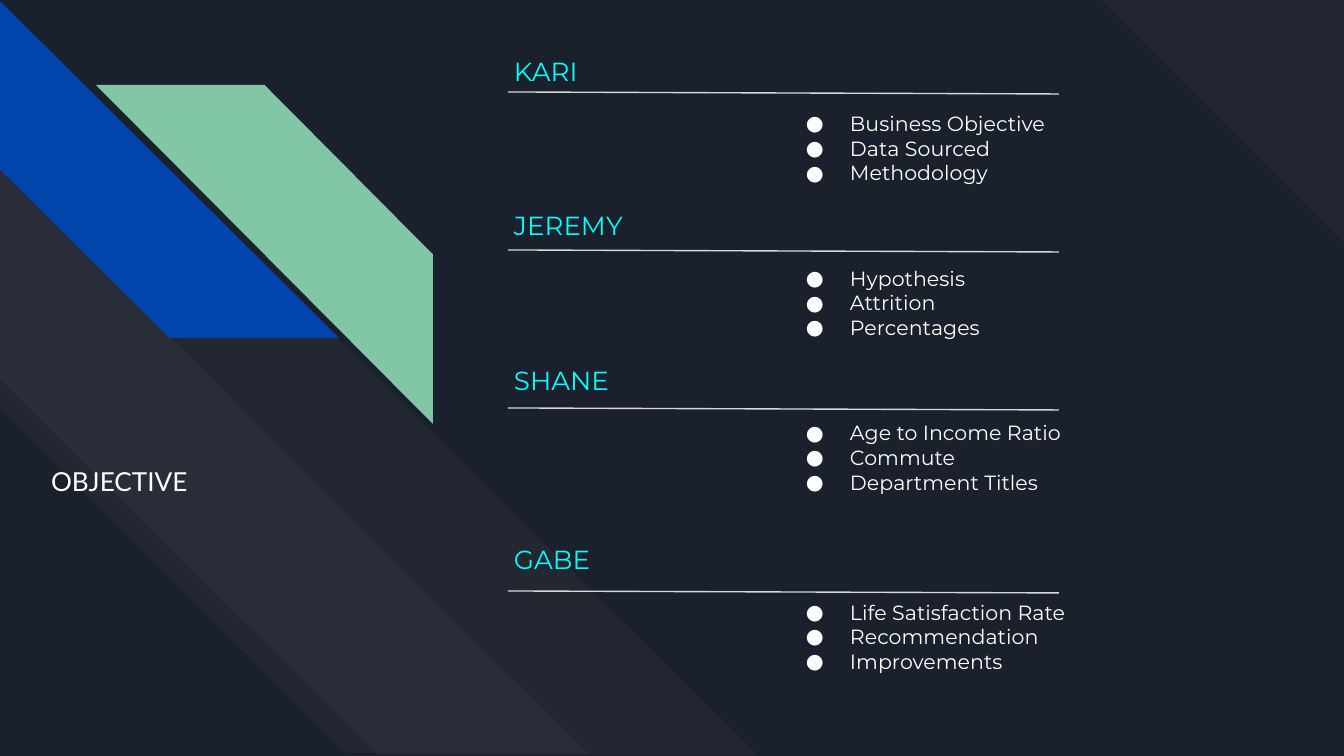
from lxml import etree
from pptx import Presentation
from pptx.dml.color import RGBColor
from pptx.enum.shapes import MSO_CONNECTOR, MSO_SHAPE
from pptx.enum.text import MSO_ANCHOR, MSO_AUTO_SIZE, PP_ALIGN
from pptx.oxml.ns import qn
from pptx.util import Pt

STRAIGHT = MSO_CONNECTOR.STRAIGHT
STRIPE = MSO_SHAPE.DIAGONAL_STRIPE
TOP = MSO_ANCHOR.TOP
NO_FIT = MSO_AUTO_SIZE.NONE
LEFT = PP_ALIGN.LEFT

NAVY = RGBColor(0x1B, 0x21, 0x2C)
WHITE = RGBColor(0xFF, 0xFF, 0xFF)
BLUE = RGBColor(0x01, 0x45, 0xAC)
GREEN = RGBColor(0x82, 0xC7, 0xA5)
CYAN = RGBColor(0x00, 0xFF, 0xFF)
GRAY = RGBColor(0xD9, 0xD9, 0xD9)

WIDTH, HEIGHT = 1344, 756
SCALE = 9144000 / WIDTH
INSET = 13
BLANK_LINE = 13.2

STRIPES = [
    ((1102, 0, 242, 242), 90, 0, WHITE, 3),
    ((1, -1, 754, 758), 270, 0.5, WHITE, 3),
    ((1, 167, 585, 587), 270, 0.588, WHITE, 3),
    ((1, 0, 337, 339), 270, 0.5, BLUE, 100),
    ((95, 86, 339, 337), 90, 0.5, GREEN, 100),
]
SPEAKERS = [
    ("KARI", 0, 92, ["Business Objective", "Data Sourced", "Methodology"]),
    ("JEREMY", 1, 250, ["Hypothesis", "Attrition", "Percentages"]),
    ("SHANE", 1, 408, ["Age to Income Ratio", "Commute", "Department Titles"]),
    ("GABE", 2, 591, ["Life Satisfaction Rate", "Recommendation", "Improvements"]),
]


def px(length):
    """Turn px into EMU."""
    return round(length * SCALE)


class Deck:
    """Holds the style and the current slide."""

    def __init__(self):
        self.presentation = Presentation()
        self.presentation.slide_width = px(WIDTH)
        self.presentation.slide_height = px(HEIGHT)
        self.slide = self.presentation.slides.add_slide(self.presentation.slide_layouts[1])
        fill = self.slide.background.fill
        fill.solid()
        fill.fore_color.rgb = NAVY

    def stripe(self, depth, box, rotation, inner, color, opacity):
        """Draw a diagonal stripe behind the text."""
        shape = self.slide.shapes.add_shape(STRIPE, *map(px, box))
        shape.shadow.inherit = False
        shape.rotation = rotation
        shape.adjustments[0] = inner
        shape.fill.solid()
        shape.fill.fore_color.rgb = color
        shape.line.fill.background()
        if opacity < 100:
            color_element = next(shape.element.iter(qn("a:srgbClr")))
            etree.SubElement(color_element, qn("a:alpha"), val=str(opacity * 1000))
        tree = shape.element.getparent()
        tree.insert(2 + depth, shape.element)

    def rule(self, left, top, right, bottom):
        """Draw a thin line."""
        line = self.slide.shapes.add_connector(STRAIGHT, *map(px, (left, top, right, bottom)))
        line.line.color.rgb = GRAY
        line.line.width = Pt(0.75)
        etree.SubElement(line.element.spPr, qn("a:effectLst"))

    def frame(self, index, box):
        """Place a placeholder and return its text frame."""
        shape = self.slide.placeholders[index]
        shape.left, shape.top, shape.width, shape.height = map(px, box)
        frame = shape.text_frame
        frame.auto_size = NO_FIT
        frame.word_wrap = True
        frame.vertical_anchor = TOP
        frame.margin_left = frame.margin_right = px(INSET)
        frame.margin_top = frame.margin_bottom = px(INSET)
        return frame

    def text(self, paragraph, words, size, color, font, before=0, after=0):
        """Write a plain paragraph without a bullet."""
        paragraph.text = words
        paragraph.alignment = LEFT
        paragraph.space_before = Pt(before)
        paragraph.space_after = Pt(after)
        paragraph.font.size = Pt(size)
        paragraph.font.name = font
        paragraph.font.color.rgb = color
        self.marker(paragraph, 0, 0, [etree.Element(qn("a:buNone"))])

    def bullet(self, paragraph, words):
        """Write a deeply indented paragraph with a round bullet."""
        self.text(paragraph, words, 11, WHITE, "Montserrat")
        properties = paragraph._p.pPr
        properties.remove(properties.find(qn("a:buNone")))
        color = etree.Element(qn("a:buClr"))
        etree.SubElement(color, qn("a:srgbClr"), val=str(WHITE))
        font = etree.Element(qn("a:buFont"), typeface="Montserrat")
        character = etree.Element(qn("a:buChar"), char="●")
        self.marker(paragraph, 336, -44, [color, font, character])

    def marker(self, paragraph, margin, indent, elements):
        """Set the indent and bullet elements of a paragraph."""
        properties = paragraph._p.pPr
        properties.set("marL", str(px(margin)))
        properties.set("indent", str(px(indent)))
        defaults = properties.find(qn("a:defRPr"))
        for element in elements:
            defaults.addprevious(element)


def main():
    """Build the objective slide."""
    deck = Deck()
    for depth, stripe in enumerate(STRIPES):
        deck.stripe(depth, *stripe)

    title = deck.frame(0, (38, 452, 328, 129))
    deck.text(title.paragraphs[0], "OBJECTIVE", 14, WHITE, "Lato")

    body = deck.frame(1, (501, 42, 804, 673))
    paragraph = body.paragraphs[0]
    for number, (name, gap, rule_top, topics) in enumerate(SPEAKERS):
        if number:
            paragraph = body.add_paragraph()
        deck.text(paragraph, name, 14, CYAN, "Montserrat", gap * BLANK_LINE, BLANK_LINE)
        for topic in topics:
            deck.bullet(body.add_paragraph(), topic)
        deck.rule(508, rule_top, 1059, rule_top + 2)

    deck.presentation.save("out.pptx")


if __name__ == "__main__":
    main()
